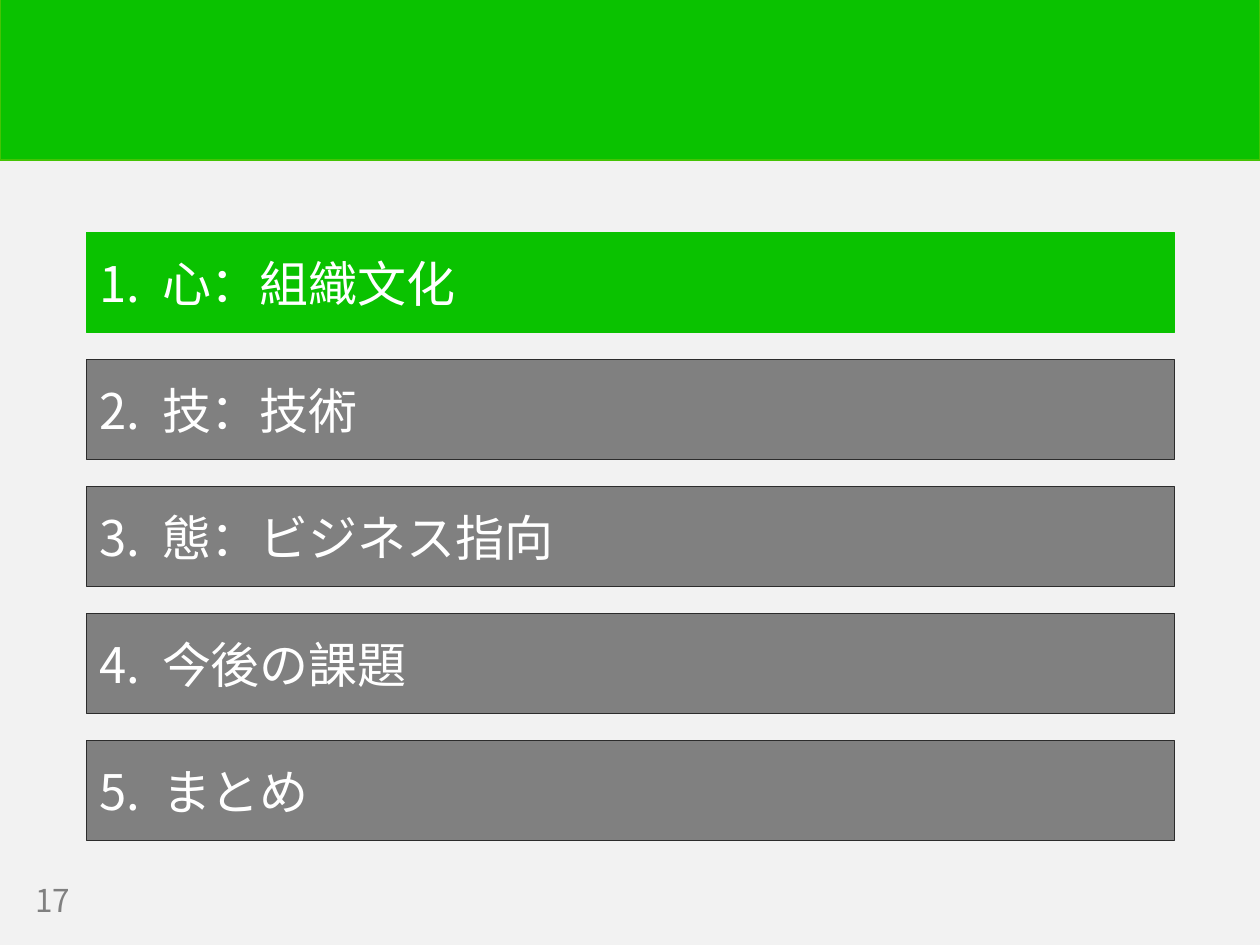
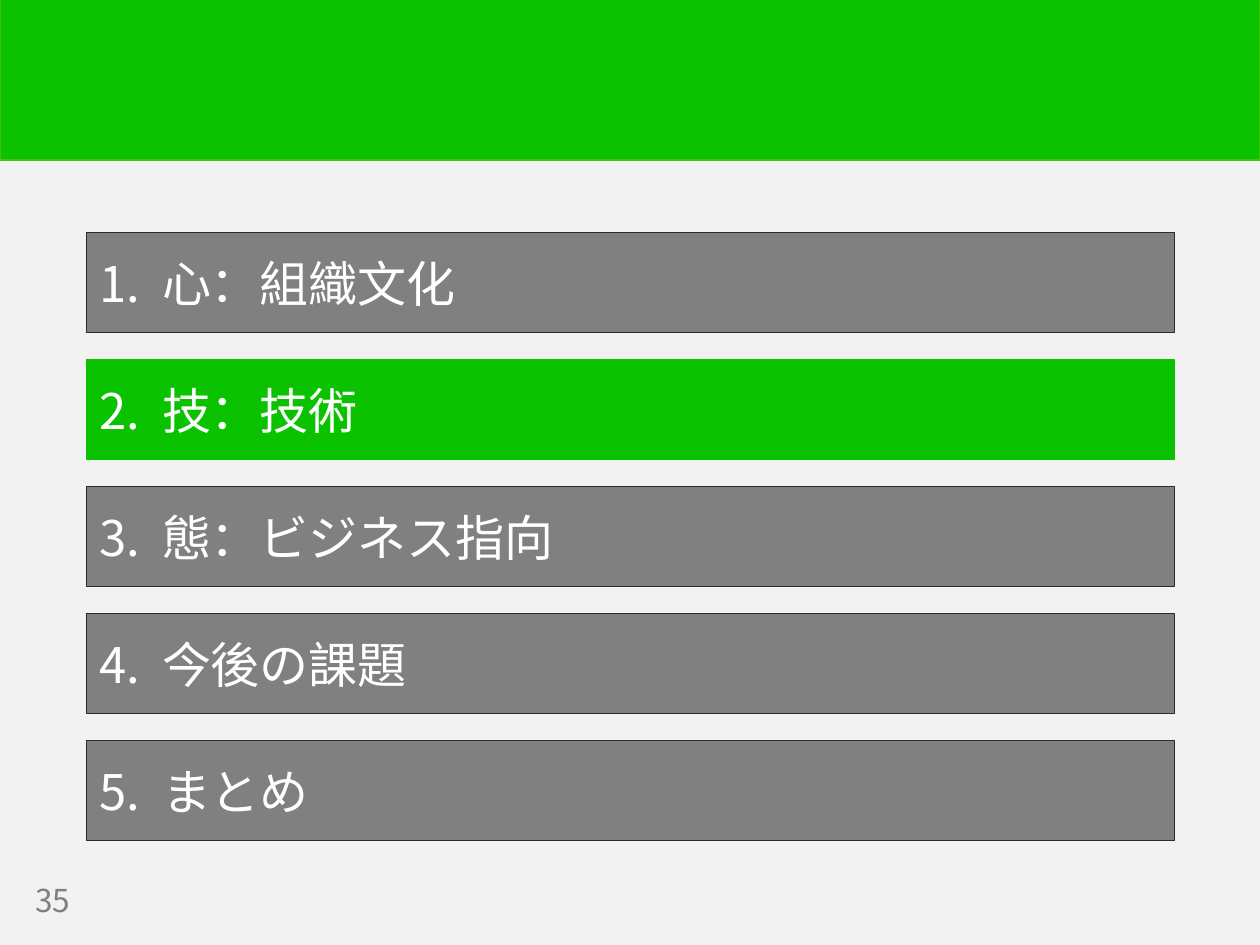
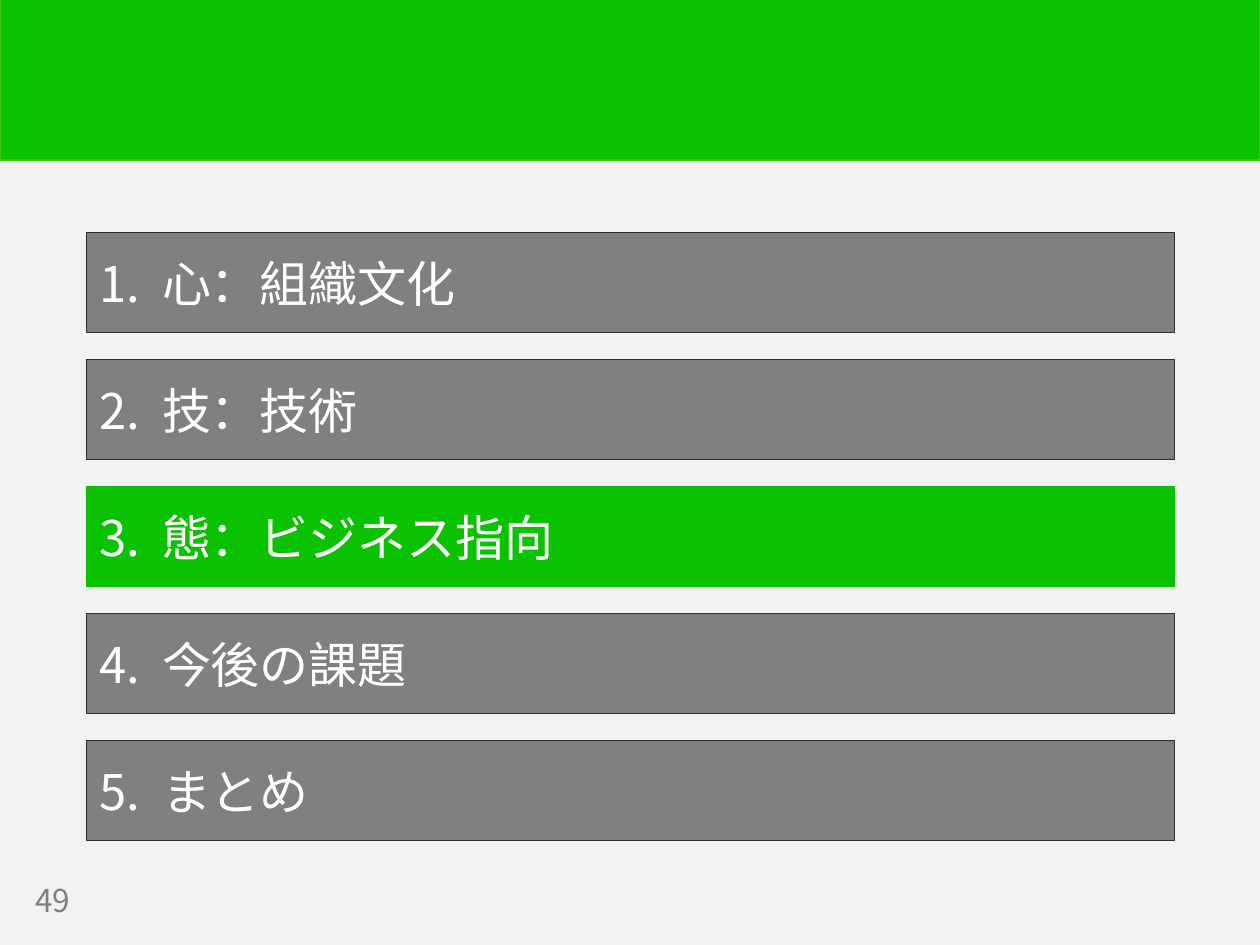
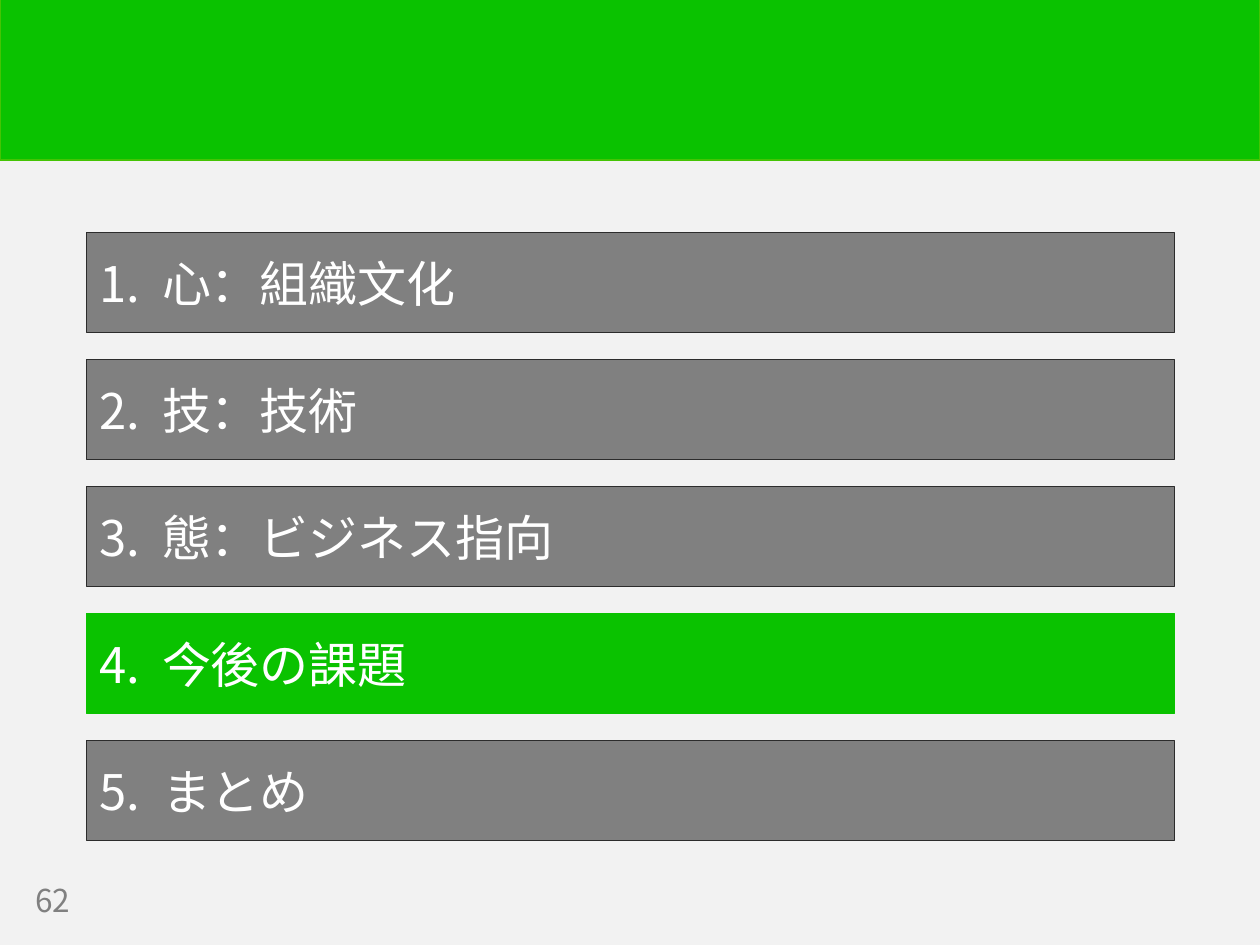
from dataclasses import dataclass

from lxml import etree
from pptx import Presentation
from pptx.dml.color import RGBColor
from pptx.enum.shapes import MSO_SHAPE
from pptx.enum.text import MSO_ANCHOR, PP_ALIGN
from pptx.oxml.ns import qn
from pptx.util import Pt

RECTANGLE = MSO_SHAPE.RECTANGLE
MIDDLE = MSO_ANCHOR.MIDDLE
LEFT = PP_ALIGN.LEFT


@dataclass(frozen=True)
class Theme:
    """Colours, font and type sizes shared by all slides."""
    green: RGBColor = RGBColor(0x0A, 0xC2, 0x00)
    band_edge: RGBColor = RGBColor(0x44, 0xC4, 0x04)
    gray: RGBColor = RGBColor(0x80, 0x80, 0x80)
    dark: RGBColor = RGBColor(0x2C, 0x2C, 0x2C)
    white: RGBColor = RGBColor(0xFF, 0xFF, 0xFF)
    paper: RGBColor = RGBColor(0xF2, 0xF2, 0xF2)
    font: str = "Noto Sans CJK JP"
    item_size: int = 28
    number_size: int = 18


THEME = Theme()
SLIDE_WIDTH, SLIDE_HEIGHT = 720, 540
ITEM_LEFT, ITEM_TOP, ITEM_WIDTH, ITEM_HEIGHT = 49.5, 133, 621.5, 56.9
ITEM_PITCH = 72.57
NUMBER_TAB = 36

CHAPTERS = ["心：組織文化", "技：技術", "態：ビジネス指向", "今後の課題", "まとめ"]
PAGE_NUMBERS = [17, 35, 49, 62]


def add_rectangle(page, left, top, width, height, fill, edge, edge_width):
    """Add a flat rectangle and return it."""
    box = page.shapes.add_shape(RECTANGLE, Pt(left), Pt(top), Pt(width), Pt(height))
    box.shadow.inherit = False
    box.fill.solid()
    box.fill.fore_color.rgb = fill
    box.line.color.rgb = edge
    box.line.width = Pt(edge_width)
    return box


def write_text(box, text, size, color, tab=None):
    """Write one left-aligned, vertically centred paragraph into a box."""
    frame = box.text_frame
    frame.word_wrap = True
    frame.vertical_anchor = MIDDLE
    para = frame.paragraphs[0]
    para.text = text
    para.alignment = LEFT
    properties = para._p.get_or_add_pPr()
    if tab is not None:
        stops = etree.SubElement(properties, qn("a:tabLst"))
        etree.SubElement(stops, qn("a:tab"), pos=str(Pt(tab)), algn="l")
    para.font.size = Pt(size)
    para.font.name = THEME.font
    para.font.color.rgb = color
    etree.SubElement(properties.find(qn("a:defRPr")), qn("a:ea"), typeface=THEME.font)


def style_layout(layout, page):
    """Give the layout its background and a green band, drawn by way of a page."""
    layout.background.fill.solid()
    layout.background.fill.fore_color.rgb = THEME.paper
    band = add_rectangle(page, 0, -0.7, SLIDE_WIDTH, 92.2, THEME.green, THEME.band_edge, 1)
    layout.shapes.element.append(band.element)


def add_page_number(page, number):
    """Add the page number at the lower left."""
    box = page.shapes.add_textbox(Pt(13), Pt(500.4), Pt(57), Pt(28))
    write_text(box, str(number), THEME.number_size, THEME.gray)


def add_agenda(page, current):
    """Add one bar per chapter, with the current chapter in green."""
    for index, chapter in enumerate(CHAPTERS):
        fill, edge = (THEME.green, THEME.green) if index == current else (THEME.gray, THEME.dark)
        bar = add_rectangle(page, ITEM_LEFT, ITEM_TOP + index * ITEM_PITCH,
                            ITEM_WIDTH, ITEM_HEIGHT, fill, edge, 0.75)
        write_text(bar, f"{index + 1}.\t{chapter}", THEME.item_size, THEME.white, NUMBER_TAB)


def main():
    """Build the chapter divider slides and save the deck."""
    deck = Presentation()
    deck.slide_width, deck.slide_height = Pt(SLIDE_WIDTH), Pt(SLIDE_HEIGHT)
    layout = deck.slide_layouts.get_by_name("Blank")
    pages = [deck.slides.add_slide(layout) for _ in PAGE_NUMBERS]
    style_layout(layout, pages[0])
    for current, (page, number) in enumerate(zip(pages, PAGE_NUMBERS)):
        add_page_number(page, number)
        add_agenda(page, current)
    deck.save("out.pptx")


if __name__ == "__main__":
    main()
